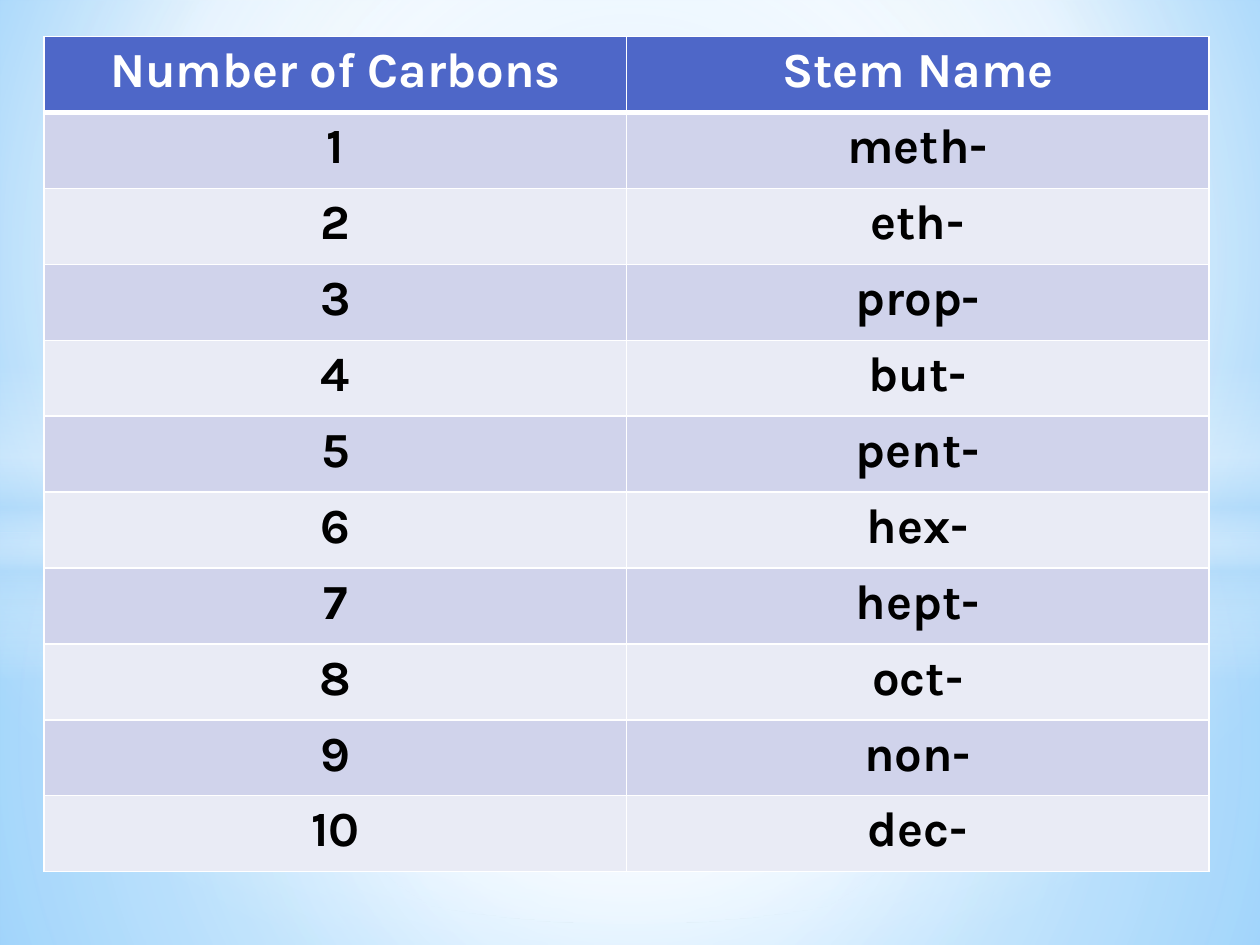
import pptx
import pptx.util
import pptx.dml.color
import pptx.enum.shapes
import pptx.enum.text
import pptx.oxml
import pptx.oxml.ns

Cm = pptx.util.Cm
Pt = pptx.util.Pt
RGB = pptx.dml.color.RGBColor
KIND = pptx.enum.shapes.MSO_SHAPE
qn = pptx.oxml.ns.qn

HEAD = ("Number of Carbons", "Stem Name")
STEMS = ("meth-", "eth-", "prop-", "but-", "pent-",
         "hex-", "hept-", "oct-", "non-", "dec-")
ROWS = [HEAD] + [(str(n), stem) for n, stem in enumerate(STEMS, 1)]

HUE = {"head": "4E67C8", "odd": "D0D3EB", "even": "E9EBF5",
       "white": "FFFFFF", "ink": "000000", "pale": "B4DCFA",
       "sky": "9ED5FF", "deep": "5BB9FF"}

MID = (50, 50, 50, 50)
BACK = [(0, "sky", 100), (60, "white", 100), (100, "deep", 100)]
GLOWS = [
    (KIND.RECTANGLE, 10.74, 8.31, MID,
     [(0, "white", 91), (37, "white", 76), (100, "pale", 79)]),
    (KIND.RECTANGLE, 0, 10.74, MID,
     [(0, "white", 89), (48, "white", 62), (100, "pale", 79)]),
    (KIND.RECTANGLE, 7.37, 6.35, None,
     [(0, "white", 0), (29, "white", 30), (45, "pale", 40),
      (55, "white", 26), (65, "pale", 60), (100, "white", 0)]),
    (KIND.OVAL, 4.45, 14.17, MID, [(0, "white", 100), (54, "white", 0)]),
]
WIDE, HIGH = 25.4, 19.05
LEFT, TOP, COL, ROW = 0.89, 0.74, 11.74, 1.53


def blend(host, stops, focus):
    marks = "".join(
        f'<a:gs pos="{pos * 1000}"><a:srgbClr val="{HUE[hue]}">'
        f'<a:alpha val="{alpha * 1000}"/></a:srgbClr></a:gs>'
        for pos, hue, alpha in stops)
    way = '<a:lin ang="5400000" scaled="0"/>'
    if focus:
        sides = " ".join(f'{s}="{v * 1000}"' for s, v in zip("ltrb", focus))
        way = f'<a:path path="circle"><a:fillToRect {sides}/></a:path>'
    fill = pptx.oxml.parse_xml(
        f'<a:gradFill {pptx.oxml.ns.nsdecls("a")} rotWithShape="1">'
        f'<a:gsLst>{marks}</a:gsLst>{way}</a:gradFill>')
    host.replace(host.find(qn("a:solidFill")), fill)


def write(cell, text, size=28, hue="ink", bold=True, font="Karla"):
    para = cell.text_frame.paragraphs[0]
    para.alignment = pptx.enum.text.PP_ALIGN.CENTER
    run = para.add_run()
    run.text = text
    run.font.size = Pt(size)
    run.font.bold = bold
    run.font.name = font
    run.font.color.rgb = RGB.from_string(HUE[hue])


def edge(cell, **widths):
    props = cell._tc.get_or_add_tcPr()
    for place, side in enumerate("LRTB"):
        props.insert(place, pptx.oxml.parse_xml(
            f'<a:ln{side} {pptx.oxml.ns.nsdecls("a")} '
            f'w="{Pt(widths.get(side, 1))}"><a:solidFill>'
            f'<a:srgbClr val="{HUE["white"]}"/></a:solidFill></a:ln{side}>'))


deck = pptx.Presentation()
deck.slide_width, deck.slide_height = Cm(WIDE), Cm(HIGH)
slide = deck.slides.add_slide(deck.slide_layouts[6])

slide.background.fill.solid()
blend(slide._element.find(".//" + qn("p:bgPr")), BACK, (20, 10, 20, 60))

for kind, top, high, focus, stops in GLOWS:
    glow = slide.shapes.add_shape(kind, 0, Cm(top), Cm(WIDE), Cm(high))
    glow.shadow.inherit = False
    glow.line.fill.background()
    glow.fill.solid()
    blend(glow._element.spPr, stops, focus)

table = slide.shapes.add_table(
    len(ROWS), len(HEAD), Cm(LEFT), Cm(TOP),
    Cm(COL * len(HEAD)), Cm(ROW * len(ROWS))).table
for col in table.columns:
    col.width = Cm(COL)
for r, texts in enumerate(ROWS):
    table.rows[r].height = Cm(ROW)
    band = "head" if r == 0 else "odd" if r % 2 else "even"
    for c, text in enumerate(texts):
        cell = table.cell(r, c)
        cell.fill.solid()
        cell.fill.fore_color.rgb = RGB.from_string(HUE[band])
        write(cell, text, hue="ink" if r else "white")
        edge(cell, T=3 if r == 1 else 1, B=1 if r else 3)

deck.save("out.pptx")
